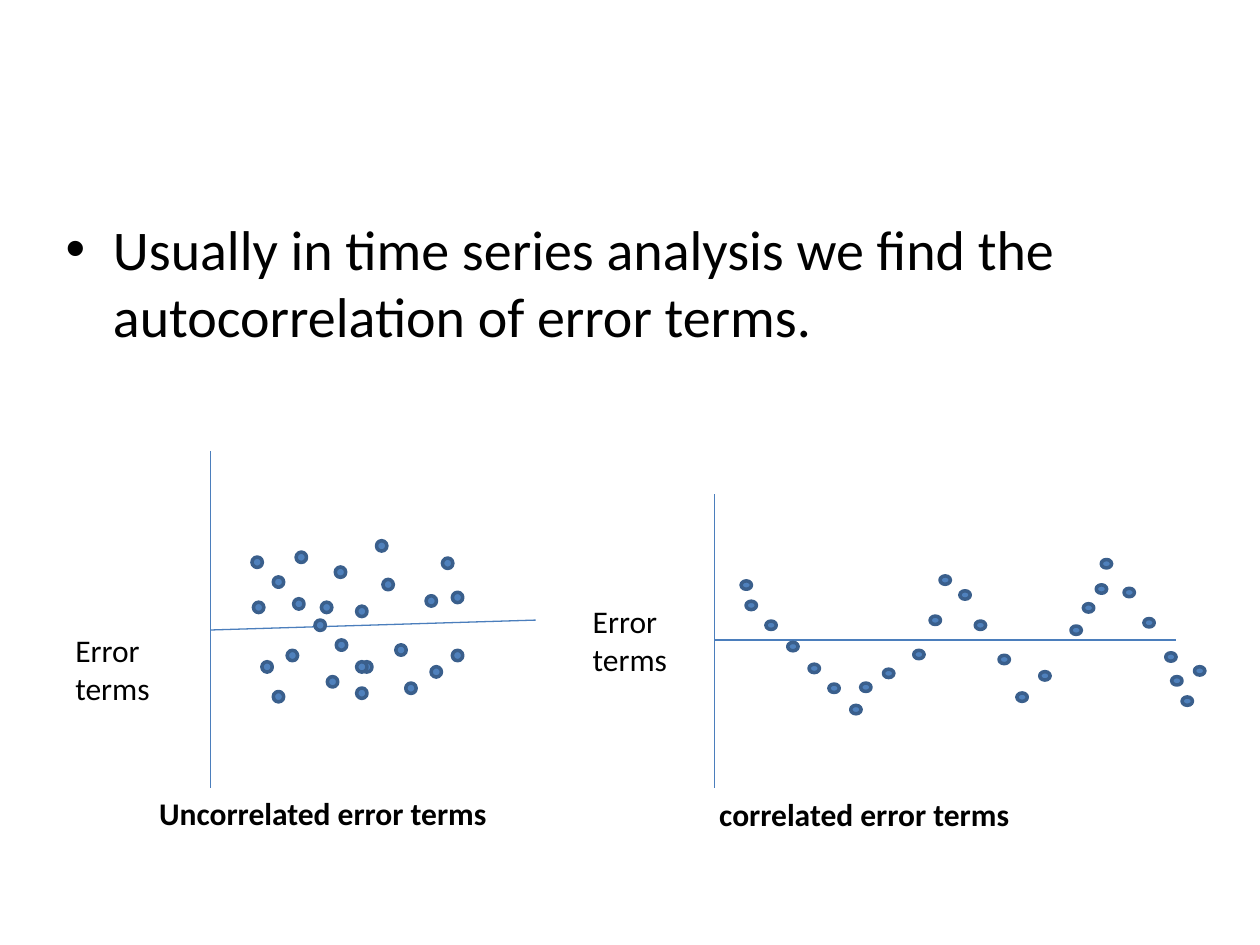
import pptx
import pptx.util
import pptx.dml.color
import pptx.enum.shapes
import pptx.enum.text
import pptx.oxml
import pptx.oxml.ns

Cm, Pt = pptx.util.Cm, pptx.util.Pt


def rgb(value):
    return pptx.dml.color.RGBColor.from_string(value)


def write(tf, text, size=18, bold=False, color="000000", font="Calibri"):
    tf.word_wrap = True
    r = tf.paragraphs[0].add_run()
    r.text = text
    r.font.name = font
    r.font.size = Pt(size)
    r.font.bold = bold
    r.font.color.rgb = rgb(color)


prs = pptx.Presentation()
prs.slide_width, prs.slide_height = Cm(25.4), Cm(19.05)
s = prs.slides.add_slide(prs.slide_layouts[1])
title = s.shapes.title
title.element.getparent().remove(title.element)

body = s.placeholders[1]
body.left, body.top, body.width, body.height = Cm(1.07), Cm(4.19), Cm(22.86), Cm(12.57)
write(body.text_frame,
      "Usually in time series analysis we find the autocorrelation of error terms.", size=32)

axes = [
    (4.24, 9.09, 4.24, 15.88),
    (4.24, 12.7, 10.8, 12.5),
    (14.4, 9.96, 14.4, 15.88),
    (14.4, 12.9, 23.7, 12.9),
]
for x1, y1, x2, y2 in axes:
    line = s.shapes.add_connector(pptx.enum.shapes.MSO_CONNECTOR.STRAIGHT,
                                  Cm(x1), Cm(y1), Cm(x2), Cm(y2))
    line.line.color.rgb = rgb("4B7EBC")
    line.line.width = Pt(0.75)
    line.element.spPr.append(pptx.oxml.parse_xml(
        "<a:effectLst %s/>" % pptx.oxml.ns.nsdecls("a")))

uncorrelated = [
    (5.08, 11.23), (5.11, 12.14), (5.28, 13.34), (5.51, 11.63), (5.51, 13.94),
    (5.79, 13.11), (5.92, 12.07), (5.97, 11.13), (6.35, 12.5), (6.48, 12.14),
    (6.6, 13.64), (6.76, 11.43), (6.78, 12.9), (7.29, 13.34), (7.19, 12.22),
    (7.19, 13.34), (7.19, 13.87), (7.59, 10.9), (7.72, 11.68), (7.98, 13),
    (8.18, 13.77), (8.59, 12.01), (8.69, 13.44), (8.92, 11.25), (9.12, 11.94),
    (9.12, 13.11),
]
correlated = [
    (14.94, 11.71), (15.04, 12.12), (15.44, 12.52), (15.88, 12.95), (16.31, 13.39),
    (16.71, 13.79), (17.15, 14.22), (17.35, 13.77), (17.81, 13.49), (18.42, 13.11),
    (18.75, 12.42), (18.95, 11.61), (19.35, 11.91), (19.66, 12.52), (20.14, 13.21),
    (20.5, 13.97), (20.96, 13.54), (21.59, 12.62), (21.84, 12.17), (22.1, 11.79),
    (22.2, 11.28), (22.66, 11.86), (23.06, 12.47), (23.5, 13.16), (23.62, 13.64),
    (23.83, 14.05), (24.08, 13.44),
]
for points, height in ((uncorrelated, 0.21), (correlated, 0.17)):
    for x, y in points:
        dot = s.shapes.add_shape(pptx.enum.shapes.MSO_SHAPE.OVAL,
                                 Cm(x), Cm(y), Cm(0.21), Cm(height))
        dot.shadow.inherit = False
        dot.fill.solid()
        dot.fill.fore_color.rgb = rgb("4F81BD")
        dot.line.color.rgb = rgb("3A5F8C")
        dot.line.width = Pt(2)

labels = [
    ("Uncorrelated error terms", 2.96, 15.88, 10.8, 1.03, True),
    ("correlated error terms", 14.25, 15.9, 10.8, 1.03, True),
    ("Error terms", 1.27, 12.6, 2.54, 1.8, False),
    ("Error terms", 11.7, 12.02, 2.54, 1.8, False),
]
for text, x, y, w, h, bold in labels:
    tf = s.shapes.add_textbox(Cm(x), Cm(y), Cm(w), Cm(h)).text_frame
    tf.auto_size = pptx.enum.text.MSO_AUTO_SIZE.SHAPE_TO_FIT_TEXT
    write(tf, text, bold=bold)

prs.save("out.pptx")
